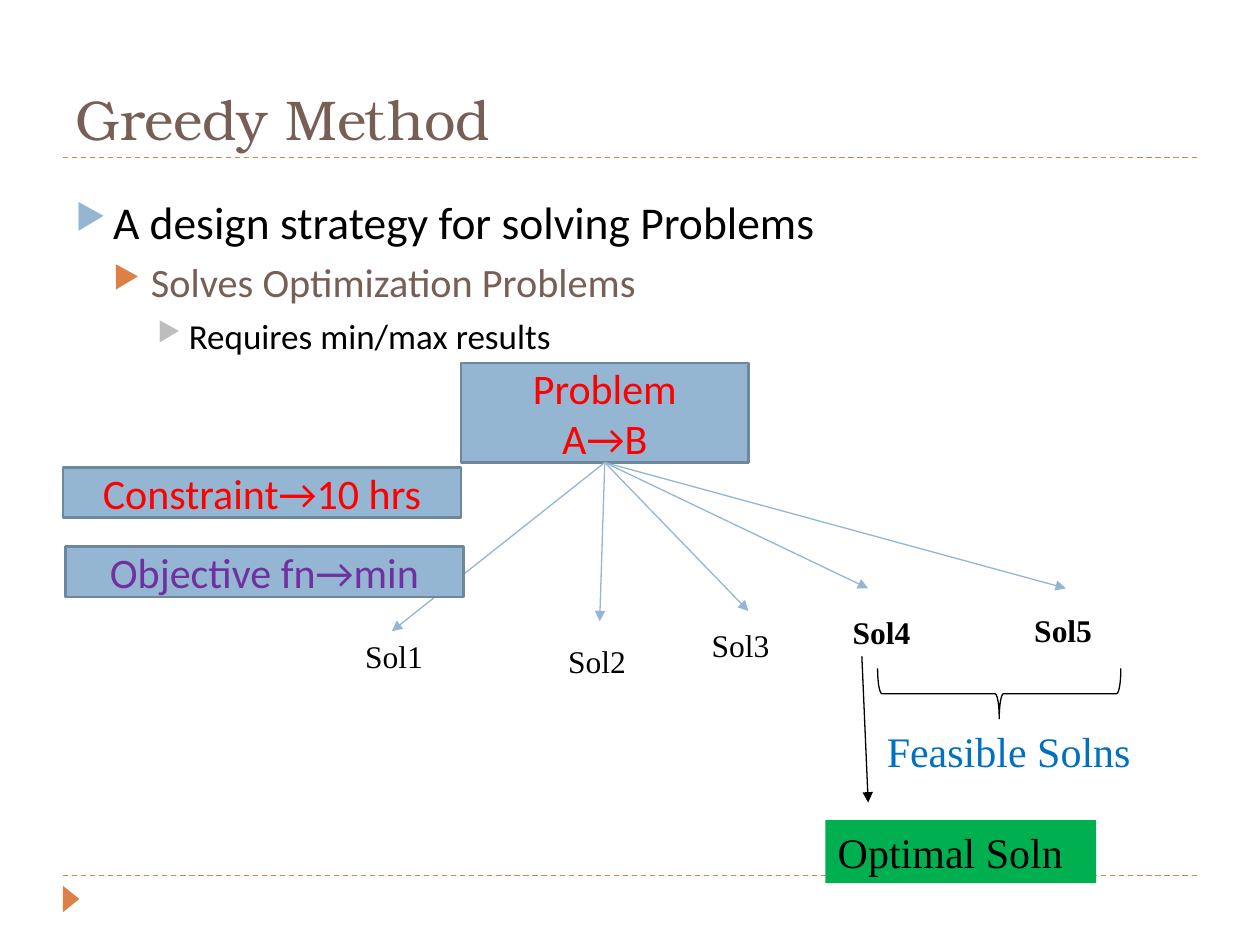
from lxml.etree import SubElement
from pptx import Presentation
from pptx.dml.color import RGBColor
from pptx.enum.dml import MSO_LINE
from pptx.enum.shapes import MSO_CONNECTOR, MSO_SHAPE
from pptx.enum.text import MSO_ANCHOR, MSO_AUTO_SIZE, PP_ALIGN
from pptx.oxml.ns import qn
from pptx.util import Pt

COLORS = {
    "blue": "94B6D2", "edge": "6D879B", "orange": "DD8047", "brown": "775F55",
    "gray": "BDBDBD", "black": "000000", "red": "FF0000", "purple": "7030A0",
    "green": "00B050", "feasible": "0070C0",
}
SERIF = "Times New Roman"
SANS = "Calibri"


def rgb(name):
    return RGBColor.from_string(COLORS[name])


def points(values):
    return [Pt(value) for value in values]


def format_font(paragraph, color, **values):
    for name, value in values.items():
        setattr(paragraph.font, name, value)
    paragraph.font.color.rgb = rgb(color)


def write_lines(frame, lines, color, align=PP_ALIGN.LEFT, **values):
    frame.text = "\n".join(lines)
    for paragraph in frame.paragraphs:
        paragraph.alignment = align
        format_font(paragraph, color, **values)


def add_label(slide, box, text, color, anchor=MSO_ANCHOR.TOP,
              fit=MSO_AUTO_SIZE.SHAPE_TO_FIT_TEXT, **values):
    label = slide.shapes.add_textbox(*points(box))
    frame = label.text_frame
    frame_format = {"word_wrap": True, "auto_size": fit, "vertical_anchor": anchor}
    for name, value in frame_format.items():
        setattr(frame, name, value)
    write_lines(frame, [text], color, **values)
    return label


def add_figure(slide, kind, box, fill=None, line=None, width=0.75, rotation=0):
    figure = slide.shapes.add_shape(kind, *points(box))
    figure.shadow.inherit = False
    figure.rotation = rotation
    if fill:
        figure.fill.solid()
        figure.fill.fore_color.rgb = rgb(fill)
    else:
        figure.fill.background()
    if line:
        figure.line.color.rgb = rgb(line)
        figure.line.width = Pt(width)
    else:
        figure.line.fill.background()
    return figure


def add_blue_box(slide, box, lines, color):
    blue_box = add_figure(slide, MSO_SHAPE.RECTANGLE, box, "blue", "edge", 1.5)
    blue_box.text_frame.word_wrap = True
    blue_box.text_frame.vertical_anchor = MSO_ANCHOR.MIDDLE
    write_lines(blue_box.text_frame, lines, color, PP_ALIGN.CENTER,
                name=SANS, size=Pt(24))
    return blue_box


def add_line(slide, start, end, color, dashed=False, arrow=False):
    line = slide.shapes.add_connector(MSO_CONNECTOR.STRAIGHT, *points(start + end))
    line.line.color.rgb = rgb(color)
    line.line.width = Pt(0.75)
    if dashed:
        line.line.dash_style = MSO_LINE.DASH
    properties = line._element.spPr
    if arrow:
        SubElement(properties.find(qn("a:ln")), qn("a:tailEnd"), type="triangle")
    SubElement(properties, qn("a:effectLst"))
    return line


def add_bullet(paragraph, color, margin, hanging):
    properties = paragraph._p.get_or_add_pPr()
    properties.set("marL", str(Pt(margin)))
    properties.set("indent", str(-Pt(hanging)))
    bullet_color = SubElement(properties, qn("a:buClr"))
    SubElement(bullet_color, qn("a:srgbClr"), val=COLORS[color])
    SubElement(properties, qn("a:buSzPct"), val="76000")
    SubElement(properties, qn("a:buChar"), char="▶")


def add_outline(slide):
    points_made = [
        ("A design strategy for solving Problems", 26, "black", "blue", 21.6),
        ("Solves Optimization Problems", 23, "brown", "orange", 21.6),
        ("Requires min/max results", 20, "black", "gray", 18),
    ]
    frame = slide.shapes.add_textbox(*points((36, 107.3, 648, 129))).text_frame
    frame.word_wrap = True
    frame.text = "\n".join(point[0] for point in points_made)
    for level, paragraph in enumerate(frame.paragraphs):
        _, size, color, bullet_color, hanging = points_made[level]
        paragraph.level = level
        paragraph.space_before = Pt(5 if level else 0)
        add_bullet(paragraph, bullet_color, 21.6 * (level + 1), hanging)
        format_font(paragraph, color, name=SANS, size=Pt(size))


def add_solutions(slide, problem):
    """Draw an arrow from the problem to each solution, with its label."""
    solutions = [
        ("Sol1", (223.9, 360.7), (201.6, 360.7), False),
        ("Sol2", (342.7, 355), (317.5, 363.6), False),
        ("Sol3", (427.7, 349.2), (399.6, 354.2), False),
        ("Sol4", (496.1, 336.2), (480.2, 347), True),
        ("Sol5", (609.1, 336.2), (583.9, 345.6), True),
    ]
    for name, tip, corner, feasible in solutions:
        arrow = add_line(slide, (345.6, 264.2), tip, "blue", arrow=True)
        arrow.begin_connect(problem, 2)
        add_label(slide, corner + (51.1, 28.8), name, "black",
                  name=SERIF, size=Pt(18), bold=feasible)


def main():
    presentation = Presentation()
    presentation.slide_width, presentation.slide_height = Pt(720), Pt(540)
    slide = presentation.slides.add_slide(presentation.slide_layouts[6])

    for rule_y in (500.4, 90):
        add_line(slide, (36, rule_y), (684, rule_y), "orange", dashed=True)
    add_figure(slide, MSO_SHAPE.ISOSCELES_TRIANGLE, (33.1, 509, 15.1, 9.4),
               "orange", rotation=90)
    add_label(slide, (36, 12.2, 648, 77.8), "Greedy Method", "brown",
              MSO_ANCHOR.BOTTOM, MSO_AUTO_SIZE.NONE,
              name="TeX Gyre Bonum", size=Pt(32))
    add_outline(slide)

    problem = add_blue_box(slide, (263.5, 207.4, 164.2, 56.9),
                           ["Problem", "A→B"], "red")
    add_solutions(slide, problem)
    add_blue_box(slide, (36, 267.1, 227.5, 28.8), ["Constraint→10 hrs"], "red")
    add_blue_box(slide, (37.4, 312.5, 227.5, 28.8), ["Objective fn→min"], "purple")

    add_figure(slide, MSO_SHAPE.RIGHT_BRACE, (556.6, 326.9, 28.8, 139),
               line="black", rotation=90)
    add_label(slide, (499.7, 411.1, 168.5, 36), "Feasible Solns", "feasible",
              name=SERIF, size=Pt(24))
    add_line(slide, (492.5, 375.1), (496.1, 458.6), "black", arrow=True)
    optimal = add_label(slide, (471.6, 468.7, 154.8, 36), "Optimal Soln", "black",
                        name=SERIF, size=Pt(24))
    optimal.fill.solid()
    optimal.fill.fore_color.rgb = rgb("green")

    presentation.save("out.pptx")


if __name__ == "__main__":
    main()
